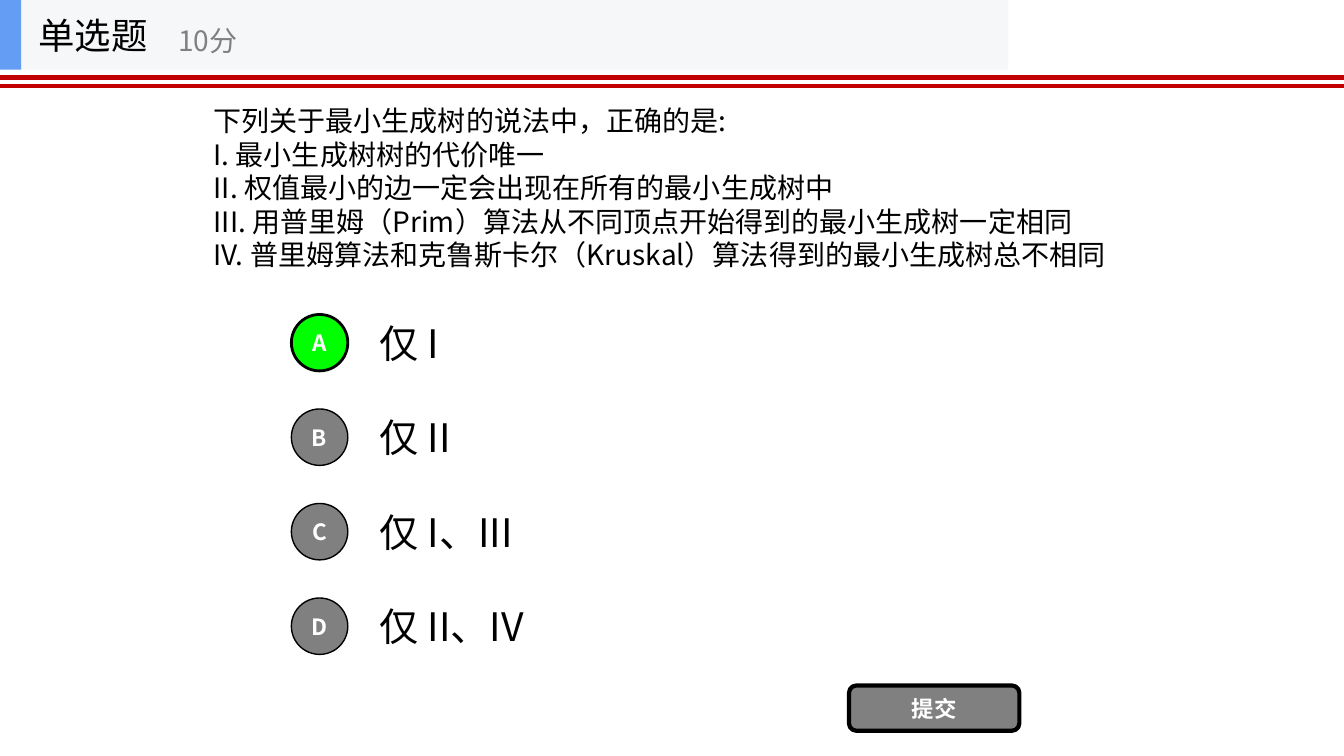
from lxml import etree
from pptx import Presentation
from pptx.dml.color import RGBColor
from pptx.enum.shapes import MSO_CONNECTOR as Connector, MSO_SHAPE as Shape
from pptx.enum.text import MSO_ANCHOR as Anchor, MSO_AUTO_SIZE as AutoSize, PP_ALIGN as Align
from pptx.oxml.ns import qn
from pptx.util import Inches, Pt

FONT = "Noto Sans CJK SC"
COLORS = {
    "black": "000000",
    "white": "FFFFFF",
    "gray": "808080",
    "red": "C30000",
    "green": "00FF00",
    "blue": "639EF4",
    "band": "F6F7F8",
}


def write(box, lines, size, color, bold=False, align=Align.LEFT, wrap=True, spacing=None):
    frame = box.text_frame
    frame.auto_size = AutoSize.NONE
    frame.word_wrap = wrap
    frame.vertical_anchor = Anchor.MIDDLE
    for index, line in enumerate(lines):
        para = frame.add_paragraph() if index else frame.paragraphs[0]
        para.alignment = align
        para.line_spacing = spacing
        span = para.add_run()
        span.text = line
        span.font.name = FONT
        span.font.size = Pt(size)
        span.font.bold = bold
        span.font.color.rgb = RGBColor.from_string(COLORS[color])
        span.font._element.find(qn("a:latin")).addnext(
            etree.Element(qn("a:ea"), typeface=FONT))


def add_block(kind, left, top, width, height, fill, line_width=0):
    block = page.shapes.add_shape(
        kind, Inches(left), Inches(top), Inches(width), Inches(height))
    block.shadow.inherit = False
    block.fill.solid()
    block.fill.fore_color.rgb = RGBColor.from_string(COLORS[fill])
    if line_width:
        block.line.color.rgb = RGBColor.from_string(COLORS["black"])
        block.line.width = Pt(line_width)
    else:
        block.line.fill.background()
    return block


deck = Presentation()
deck.slide_width = Inches(13.33)
deck.slide_height = Inches(7.5)
page = deck.slides.add_slide(deck.slide_layouts[5])

for top in (0.77, 0.85):
    rule = page.shapes.add_connector(
        Connector.STRAIGHT, 0, Inches(top), deck.slide_width, Inches(top))
    rule.line.color.rgb = RGBColor.from_string(COLORS["red"])
    rule.line.width = Pt(3)
    etree.SubElement(rule._element.spPr, qn("a:effectLst"))

question = page.shapes.add_textbox(Inches(2.02), Inches(0.69), Inches(9.21), Inches(2.34))
write(question, [
    "下列关于最小生成树的说法中，正确的是:",
    "I. 最小生成树树的代价唯一",
    "II. 权值最小的边一定会出现在所有的最小生成树中",
    "III. 用普里姆（Prim）算法从不同顶点开始得到的最小生成树一定相同",
    "IV. 普里姆算法和克鲁斯卡尔（Kruskal）算法得到的最小生成树总不相同",
], 20, "black", spacing=Pt(24))

answers = [("A", "仅 I"), ("B", "仅 II"), ("C", "仅 I、III"), ("D", "仅 II、IV")]
for index, (letter, answer) in enumerate(answers):
    top = 3.05 + index * 0.9375
    option = page.shapes.add_textbox(Inches(3.67), Inches(top), Inches(7), Inches(0.7))
    write(option, [answer], 28, "black")
    correct = letter == "A"
    badge = add_block(Shape.OVAL, 2.89, top + 0.07, 0.56, 0.56,
                      "green" if correct else "gray", 2 if correct else 1)
    write(badge, [letter], 16, "white", bold=True, align=Align.CENTER, wrap=False)

submit = add_block(Shape.ROUNDED_RECTANGLE, 8.42, 6.8, 1.69, 0.45, "gray", 3)
write(submit, ["提交"], 16, "white", bold=True, align=Align.CENTER)

add_block(Shape.RECTANGLE, 0, 0, 10, 0.69, "band")
add_block(Shape.RECTANGLE, 0, 0, 0.21, 0.69, "blue")

title = page.shapes.title
title.left, title.top = Inches(0.28), Inches(0)
title.width, title.height = Inches(2.08), Inches(0.69)
write(title, ["单选题"], 26, "black", wrap=False)
title._element.getparent().append(title._element)

score = page.shapes.add_textbox(Inches(1.67), Inches(0.12), Inches(2.5), Inches(0.56))
write(score, ["10分"], 20, "gray", wrap=False)

deck.save("out.pptx")
